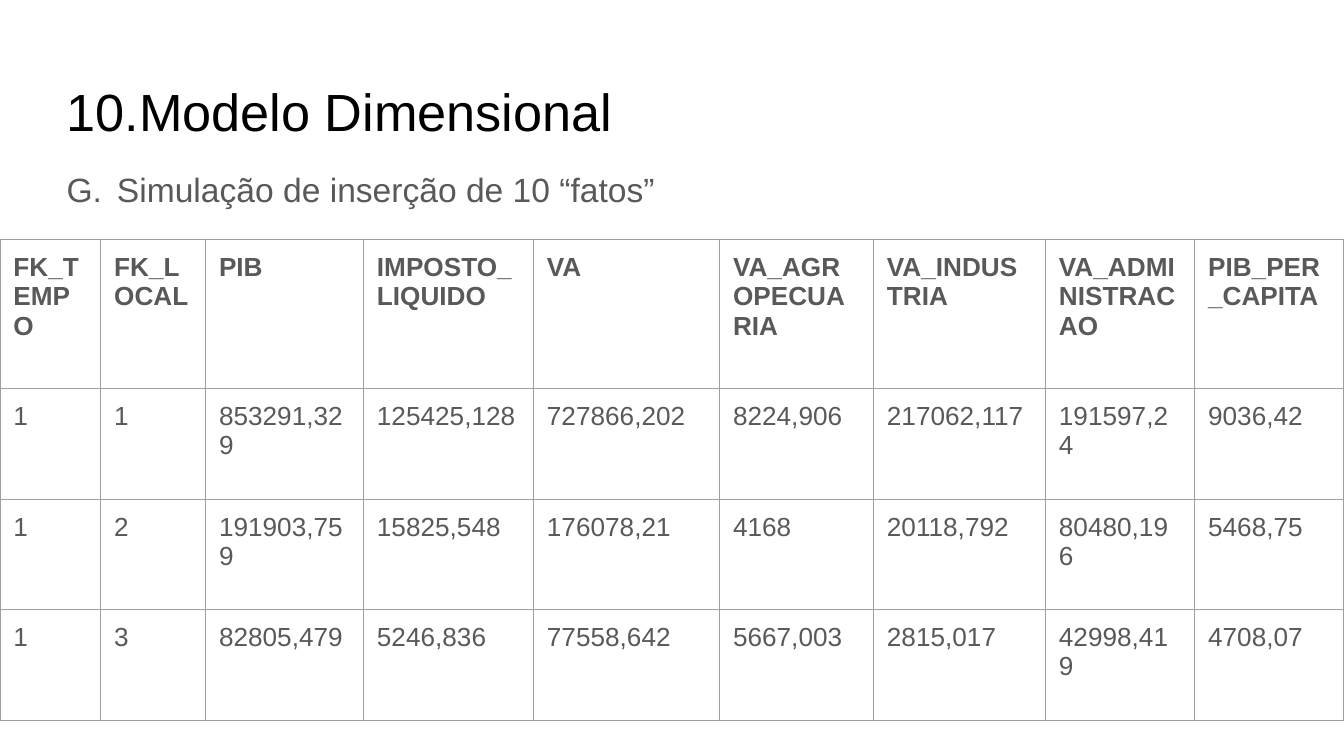
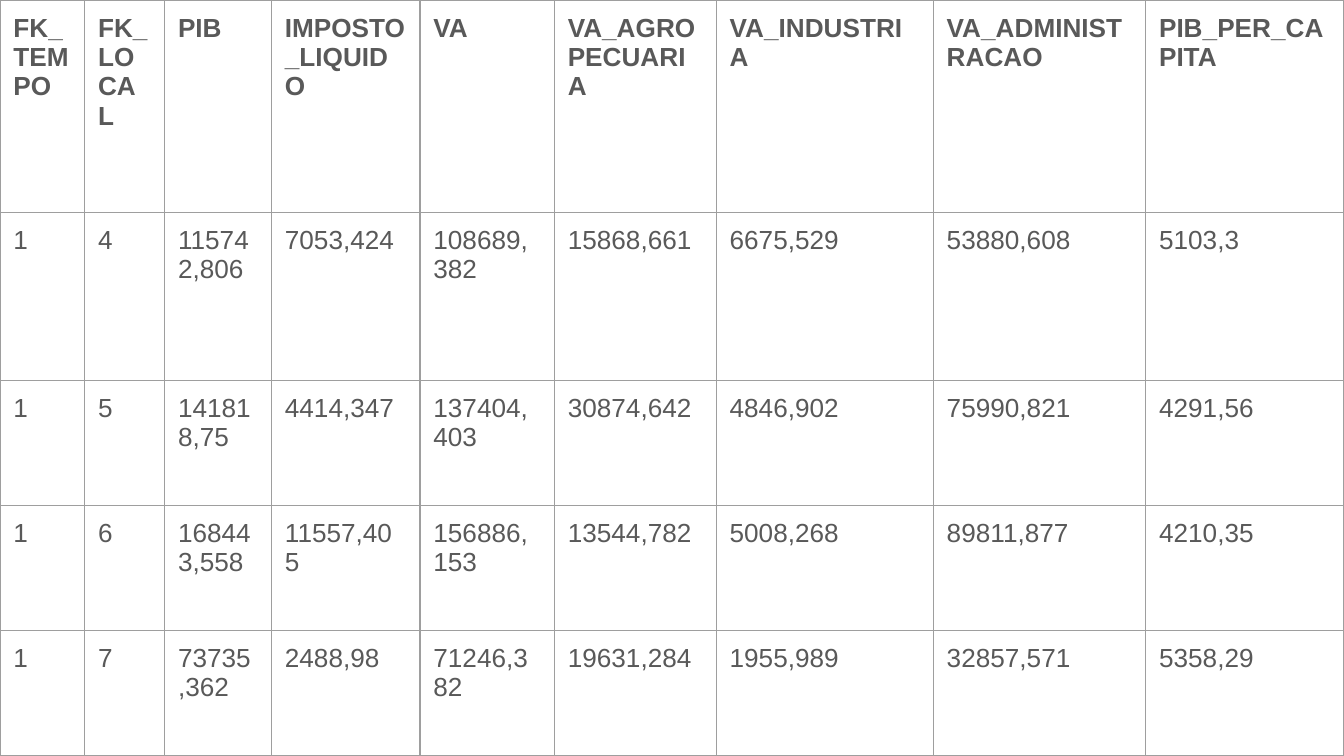
from dataclasses import dataclass

from lxml.etree import SubElement
from pptx import Presentation
from pptx.dml.color import RGBColor
from pptx.enum.text import MSO_ANCHOR, MSO_AUTO_SIZE, PP_ALIGN
from pptx.oxml.ns import qn
from pptx.util import Pt

EMU_PER_PX = 4572  # 200 px to the inch
PAGE_SIZE = (2000, 1125)
INSET = 20
FONT = "Arial"
COLOURS = {"title": "000000", "text": "595959", "border": "9E9E9E"}
BORDER_PT = 0.75


@dataclass(frozen=True)
class Numbering:
    scheme: str
    start: int
    margin: int
    hanging: int


@dataclass(frozen=True)
class Heading:
    placeholder: int
    text: str
    area: tuple[int, int, int, int]
    size: int
    colour: str
    numbering: Numbering
    line_spacing: float


@dataclass(frozen=True)
class FactTable:
    top: int
    columns: list[int]
    rows: list[int]
    cells: list[list[str]]


def px(length: int) -> int:
    return length * EMU_PER_PX


def hex_colour(name: str) -> RGBColor:
    return RGBColor.from_string(COLOURS[name])


def add_numbering(para, numbering: Numbering, colour: str) -> None:
    props = para._p.get_or_add_pPr()
    props.set("marL", str(px(numbering.margin)))
    props.set("indent", str(-px(numbering.hanging)))
    bullet_colour = SubElement(props, qn("a:buClr"))
    SubElement(bullet_colour, qn("a:srgbClr"), val=COLOURS[colour])
    SubElement(props, qn("a:buFont"), typeface=FONT)
    SubElement(props, qn("a:buAutoNum"), type=numbering.scheme,
               startAt=str(numbering.start))


def write_text(frame, text: str, *, size: int, colour: str = "text",
               bold: bool = False, numbering: Numbering | None = None,
               line_spacing: float = 1.0) -> None:
    para = frame.paragraphs[0]
    if numbering:
        add_numbering(para, numbering, colour)
    para.alignment = PP_ALIGN.LEFT
    para.space_before = Pt(0)
    para.line_spacing = line_spacing
    span = para.add_run()
    span.text = text
    span.font.name = FONT
    span.font.size = Pt(size)
    span.font.bold = bold
    span.font.color.rgb = hex_colour(colour)


def set_insets(target) -> None:
    target.margin_left = target.margin_right = px(INSET)
    target.margin_top = target.margin_bottom = px(INSET)
    target.vertical_anchor = MSO_ANCHOR.TOP


def add_heading(page, heading: Heading) -> None:
    box = page.placeholders[heading.placeholder]
    box.left, box.top, box.width, box.height = map(px, heading.area)
    frame = box.text_frame
    frame.word_wrap = True
    frame.auto_size = MSO_AUTO_SIZE.NONE
    set_insets(frame)
    write_text(frame, heading.text, size=heading.size, colour=heading.colour,
               numbering=heading.numbering, line_spacing=heading.line_spacing)


def add_borders(cell) -> None:
    props = cell._tc.get_or_add_tcPr()
    for side in ("lnL", "lnR", "lnT", "lnB"):
        line = SubElement(props, qn(f"a:{side}"), w=str(Pt(BORDER_PT)))
        fill = SubElement(line, qn("a:solidFill"))
        SubElement(fill, qn("a:srgbClr"), val=COLOURS["border"])


def add_fact_table(page, facts: FactTable) -> None:
    table = page.shapes.add_table(
        len(facts.rows), len(facts.columns), 0, px(facts.top),
        px(sum(facts.columns)), px(sum(facts.rows))).table
    table.first_row = table.horz_banding = False
    for column, width in zip(table.columns, facts.columns):
        column.width = px(width)
    for row_index, (row, height) in enumerate(zip(table.rows, facts.rows)):
        row.height = px(height)
        for cell, text in zip(row.cells, facts.cells[row_index]):
            set_insets(cell)
            add_borders(cell)
            cell.fill.background()
            write_text(cell.text_frame, text, size=14, bold=row_index == 0)


def header(tax_label: str) -> list[str]:
    return ["FK_TEMPO", "FK_LOCAL", "PIB", tax_label, "VA", "VA_AGROPECUARIA",
            "VA_INDUSTRIA", "VA_ADMINISTRACAO", "PIB_PER_CAPITA"]


# Content
HEADINGS = [
    Heading(0, "Modelo Dimensional", (68, 98, 1864, 126), 28, "title",
            Numbering("arabicPeriod", 10, 100, 89), 1.0),
    Heading(1, "Simulação de inserção de 10 “fatos”", (54, 222, 1864, 110), 18,
            "text", Numbering("alphaUcPeriod", 7, 100, 75), 1.15),
]

FIRST_FACTS = FactTable(
    top=356,
    columns=[150, 156, 235, 253, 277, 229, 256, 222, 222],
    rows=[222, 165, 164, 165],
    cells=[
        header("IMPOSTO_ LIQUIDO"),
        ["1", "1", "853291,329", "125425,128", "727866,202", "8224,906",
         "217062,117", "191597,24", "9036,42"],
        ["1", "2", "191903,759", "15825,548", "176078,21", "4168",
         "20118,792", "80480,196", "5468,75"],
        ["1", "3", "82805,479", "5246,836", "77558,642", "5667,003",
         "2815,017", "42998,419", "4708,07"],
    ])

MORE_FACTS = FactTable(
    top=0,
    columns=[126, 119, 159, 221, 200, 241, 323, 316, 295],
    rows=[316, 250, 186, 186, 186],
    cells=[
        header("IMPOSTO_LIQUIDO"),
        ["1", "4", "115742,806", "7053,424", "108689,382", "15868,661",
         "6675,529", "53880,608", "5103,3"],
        ["1", "5", "141818,75", "4414,347", "137404,403", "30874,642",
         "4846,902", "75990,821", "4291,56"],
        ["1", "6", "168443,558", "11557,405", "156886,153", "13544,782",
         "5008,268", "89811,877", "4210,35"],
        ["1", "7", "73735,362", "2488,98", "71246,382", "19631,284",
         "1955,989", "32857,571", "5358,29"],
    ])


def main() -> None:
    deck = Presentation()
    deck.slide_width, deck.slide_height = map(px, PAGE_SIZE)

    # Slide 1: title, subtitle and first facts
    page = deck.slides.add_slide(deck.slide_layouts[1])
    for heading in HEADINGS:
        add_heading(page, heading)
    add_fact_table(page, FIRST_FACTS)

    # Slide 2: remaining facts
    page = deck.slides.add_slide(deck.slide_layouts[6])
    add_fact_table(page, MORE_FACTS)

    deck.save("out.pptx")


if __name__ == "__main__":
    main()
